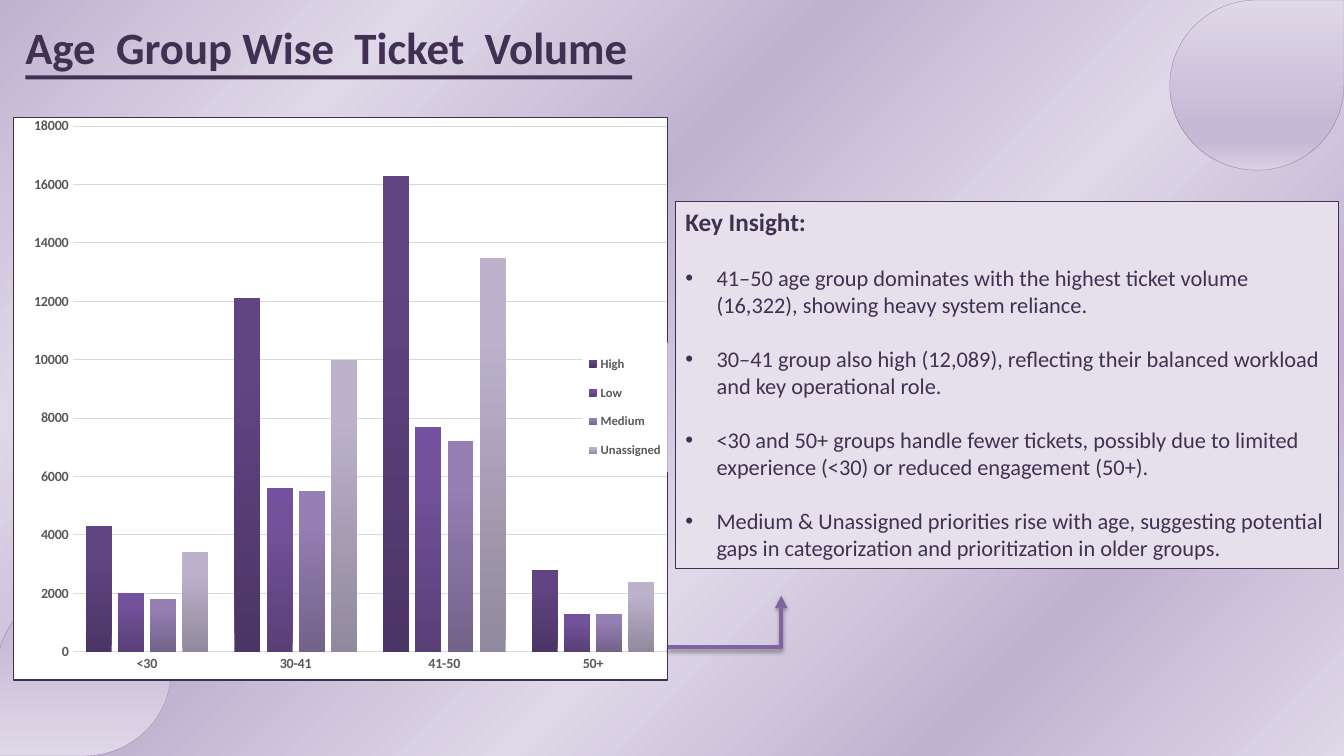
import pptx
import pptx.chart.data
import pptx.dml.color
import pptx.enum.chart
import pptx.enum.shapes
import pptx.enum.text
import pptx.oxml
import pptx.oxml.ns
import pptx.util

Cm = pptx.util.Cm
Pt = pptx.util.Pt
RGB = pptx.dml.color.RGBColor
qn = pptx.oxml.ns.qn
Shape = pptx.enum.shapes.MSO_SHAPE
Tick = pptx.enum.chart.XL_TICK_MARK
Top = pptx.enum.text.MSO_ANCHOR.TOP
Left = pptx.enum.text.PP_ALIGN.LEFT

INK = RGB(0x40, 0x31, 0x52)
PLUM = RGB(0x60, 0x4A, 0x7B)
VIOLET = RGB(0x80, 0x64, 0xA2)
LILAC = RGB(0xE6, 0xE0, 0xEC)
MIST = RGB(0xDF, 0xD8, 0xE8)
MAUVE = RGB(0xBF, 0xB2, 0xD0)
HAZE = RGB(0xC6, 0xB9, 0xD5)
PALE = RGB(0xD9, 0xD0, 0xE3)
GREY = RGB(0x59, 0x59, 0x59)
GRID = RGB(0xD9, 0xD9, 0xD9)
WHITE = RGB(0xFF, 0xFF, 0xFF)

GROUPS = ["<30", "30-41", "41-50", "50+"]
SERIES = [
    ("High", (4300, 12100, 16300, 2800),
     (RGB(0x4B, 0x35, 0x65), RGB(0x61, 0x45, 0x83), RGB(0x62, 0x44, 0x85))),
    ("Low", (2000, 5600, 7700, 1300),
     (RGB(0x59, 0x3F, 0x78), RGB(0x73, 0x52, 0x9B), RGB(0x74, 0x51, 0x9E))),
    ("Medium", (1800, 5500, 7200, 1300),
     (RGB(0x73, 0x62, 0x8A), RGB(0x95, 0x7F, 0xB3), RGB(0x95, 0x7E, 0xB5))),
    ("Unassigned", (3400, 10000, 13500, 2400),
     (RGB(0x91, 0x89, 0x9D), RGB(0xBC, 0xB2, 0xCC), RGB(0xBD, 0xB2, 0xCE))),
]
POINTS = [
    "41–50 age group dominates with the highest ticket volume (16,322), showing heavy system reliance.",
    "30–41 group also high (12,089), reflecting their balanced workload and key operational role.",
    "<30 and 50+ groups handle fewer tickets, possibly due to limited experience (<30) or reduced engagement (50+).",
    "Medium & Unassigned priorities rise with age, suggesting potential gaps in categorization and prioritization in older groups.",
]


def node(tag, inner="", attrs=""):
    """Make an XML element in the drawing or chart namespace."""
    names = pptx.oxml.ns.nsdecls("a", "c")
    return pptx.oxml.parse_xml(f"<{tag} {names} {attrs}>{inner}</{tag}>")


def frame(x, y, w, h, inner=False):
    """Make a fixed chart layout from fractions of the chart area."""
    parts = '<c:layoutTarget val="inner"/>' if inner else ""
    parts += '<c:xMode val="edge"/><c:yMode val="edge"/>'
    for tag, val in zip("xywh", (x, y, w, h)):
        parts += f'<c:{tag} val="{val}"/>'
    return node("c:layout", f"<c:manualLayout>{parts}</c:manualLayout>")


def solid(color):
    return f'<a:solidFill><a:srgbClr val="{color}"/></a:solidFill>'


class Deck:
    face = "Calibri"

    def __init__(self):
        self.prs = pptx.Presentation()
        self.prs.slide_width, self.prs.slide_height = Cm(33.87), Cm(19.05)
        self.slide = self.prs.slides.add_slide(self.prs.slide_layouts[6])
        self.shapes = self.slide.shapes

    def blend(self, fill, root, stops, angle):
        """Fill with a gradient; the angle runs clockwise."""
        fill.gradient()
        grad = next(root.iter(qn("a:gradFill")))
        row = grad.find(qn("a:gsLst"))
        row.clear()
        for pos, color in stops:
            row.append(node("a:gs", f'<a:srgbClr val="{color}"/>', f'pos="{pos * 1000}"'))
        grad.find(qn("a:lin")).set("ang", str(angle * 60000))

    def back(self, stops):
        self.blend(self.slide.background.fill, self.slide._element, stops, 45)

    def font(self, font, size, color, bold=False):
        font.name, font.size, font.bold = self.face, Pt(size), bold
        font.color.rgb = color

    def rect(self, box, fill, line=None, kind=Shape.RECTANGLE):
        shape = self.shapes.add_shape(kind, *map(Cm, box))
        shape.shadow.inherit = False
        shape.fill.solid()
        shape.fill.fore_color.rgb = fill
        if line:
            shape.line.color.rgb = line
            shape.line.width = Pt(0.75)
        else:
            shape.line.fill.background()
        return shape

    def drop(self, box, turn=0):
        shape = self.rect(box, MIST, PLUM, Shape.TEAR)
        shape.rotation = turn
        shape.line.width = Pt(0.25)
        tint = next(shape.line._ln.iter(qn("a:srgbClr")))
        tint.append(node("a:alpha", attrs='val="50000"'))
        stops = [(0, MIST), (74, HAZE), (83, HAZE), (100, PALE)]
        self.blend(shape.fill, shape._element, stops, 90)

    def title(self, box, text):
        body = self.shapes.add_textbox(*map(Cm, box)).text_frame
        body.word_wrap = True
        body.margin_left = body.margin_right = body.margin_bottom = 0
        body.margin_top = Cm(0.03)
        body.text = text
        para = body.paragraphs[0]
        para.space_before = Pt(1)
        self.font(para.runs[0].font, 32, INK, True)

    def notes(self, box, head, points):
        body = self.rect(box, LILAC, INK).text_frame
        body.word_wrap = True
        body.vertical_anchor = Top
        body.text = "\n".join([head, *points])
        first, *rest = body.paragraphs
        first.alignment = Left
        self.font(first.runs[0].font, 18, INK, True)
        for para in rest:
            para.alignment = Left
            para.space_before = Pt(19.5)
            self.font(para.runs[0].font, 16, INK)
            props = para._p.get_or_add_pPr()
            props.set("marL", str(Cm(0.79)))
            props.set("indent", str(-Cm(0.79)))
            props.append(node("a:buFont", attrs='typeface="Arial"'))
            props.append(node("a:buChar", attrs='char="•"'))

    def bars(self, box, groups, series):
        data = pptx.chart.data.CategoryChartData(number_format="0")
        data.categories = groups
        for name, vals, _ in series:
            data.add_series(name, vals)
        kind = pptx.enum.chart.XL_CHART_TYPE.COLUMN_CLUSTERED
        chart = self.shapes.add_chart(kind, *map(Cm, box), data).chart
        self.font(chart.font, 10, RGB(0, 0, 0))
        chart.has_title = False
        plot = chart.plots[0]
        plot.vary_by_categories = False
        plot.gap_width, plot.overlap = 100, -24
        for bar, (_, _, hues) in zip(plot.series, series):
            self.blend(bar.format.fill, bar._element, zip((0, 80, 100), hues), 270)
        self.axes(chart)
        self.legend(chart)
        area = chart._chartSpace.chart.plotArea
        for old in area.findall(qn("c:layout")):
            area.remove(old)
        area.insert(0, frame(0.09, 0.015, 0.91, 0.935, True))
        edge = f'<a:ln w="12700">{solid(INK)}</a:ln>'
        chart._chartSpace.chart.addnext(node("c:spPr", solid(WHITE) + edge))

    def axes(self, chart):
        cat, val = chart.category_axis, chart.value_axis
        for axis in (cat, val):
            self.font(axis.tick_labels.font, 10, GREY, True)
            axis.major_tick_mark = axis.minor_tick_mark = Tick.NONE
        cat.format.line.color.rgb = GRID
        cat.format.line.width = Pt(1)
        val.format.line.fill.background()
        val.minimum_scale, val.maximum_scale, val.major_unit = 0, 18000, 2000
        val.tick_labels.number_format = "0"
        val.tick_labels.number_format_is_linked = False
        val.major_gridlines.format.line.color.rgb = GRID
        val.major_gridlines.format.line.width = Pt(0.75)

    def legend(self, chart):
        chart.has_legend = True
        key = chart.legend
        key.position = pptx.enum.chart.XL_LEGEND_POSITION.RIGHT
        key.include_in_layout = False
        self.font(key.font, 9, GREY, True)
        root = key._element
        for old in root.findall(qn("c:layout")):
            root.remove(old)
        root.find(qn("c:legendPos")).addnext(frame(0.87, 0.4, 0.13, 0.23))
        root.find(qn("c:txPr")).addprevious(node("c:spPr", solid(WHITE)))

    def arrow(self, *ends):
        """Draw an elbow that runs across, then up to its head."""
        kind = pptx.enum.shapes.MSO_CONNECTOR.ELBOW
        link = self.shapes.add_connector(kind, *map(Cm, ends))
        link.line.color.rgb = VIOLET
        link.line.width = Pt(3)
        link.line._ln.append(node("a:tailEnd", attrs='type="triangle"'))
        props = link._element.spPr
        bend = node("a:gd", attrs='name="adj1" fmla="val 100000"')
        props.find(qn("a:prstGeom")).get_or_add_avLst().append(bend)
        shade = (f'<a:outerShdw blurRad="{Pt(3.1)}" dist="{Pt(1.8)}" dir="5400000" rotWithShape="0">'
                 '<a:srgbClr val="000000"><a:alpha val="35000"/></a:srgbClr></a:outerShdw>')
        props.append(node("a:effectLst", shade))


def main():
    deck = Deck()
    deck.back([(20 * i, MIST if i % 2 else MAUVE) for i in range(6)])
    deck.drop((-0.08, 14.76, 4.39, 4.29), 180)
    deck.drop((29.48, 0, 4.39, 4.29))
    deck.title((0.64, 0.46, 16.2, 1.4), "Age  Group Wise  Ticket  Volume")
    deck.rect((0.64, 1.9, 15.29, 0.1), INK)
    deck.bars((0.33, 2.95, 16.51, 14.2), GROUPS, SERIES)
    deck.notes((17.02, 5.08, 16.71, 9.25), "Key Insight:", POINTS)
    deck.arrow(16.84, 16.31, 19.69, 15.01)
    deck.prs.save("out.pptx")


if __name__ == "__main__":
    main()
